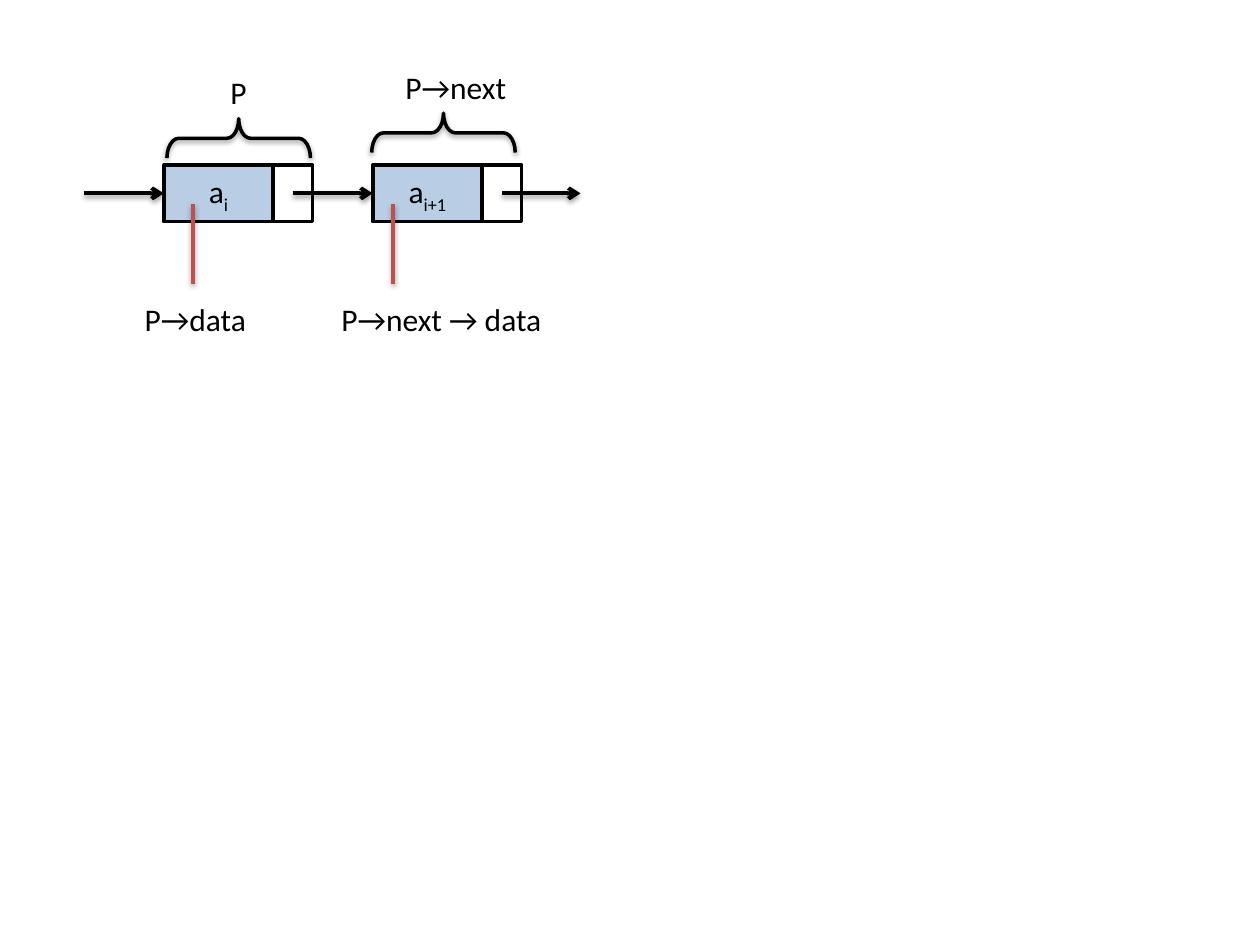
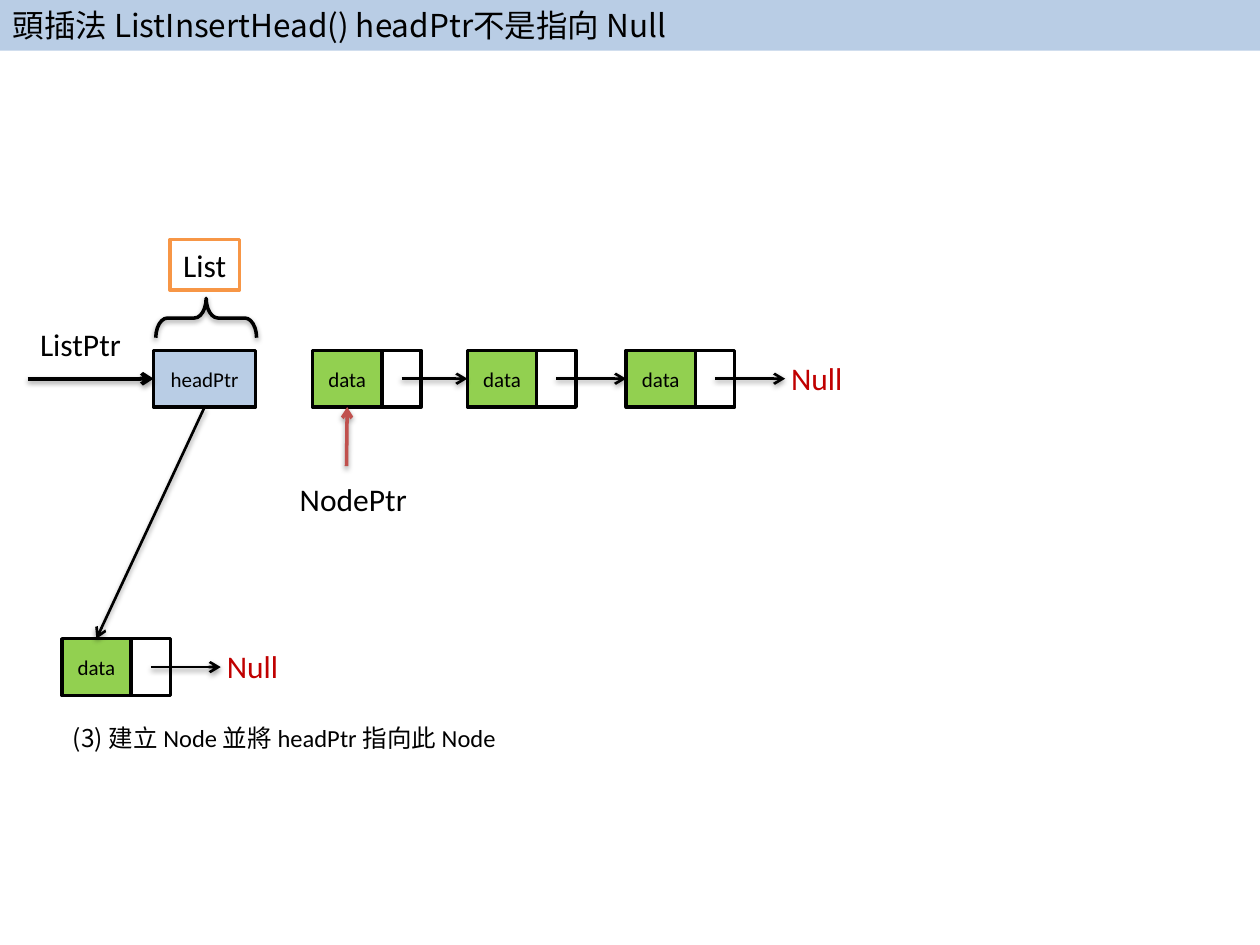
import dataclasses

import lxml.etree
import pptx
import pptx.dml.color
import pptx.enum.shapes
import pptx.enum.text
import pptx.oxml.ns
import pptx.util

Pt = pptx.util.Pt
qn = pptx.oxml.ns.qn
SHAPE = pptx.enum.shapes.MSO_SHAPE
ALIGN = pptx.enum.text.PP_ALIGN
ANCHOR = pptx.enum.text.MSO_ANCHOR


@dataclasses.dataclass(frozen=True)
class Theme:
    black: str = "000000"
    white: str = "FFFFFF"
    blue: str = "B9CDE5"
    green: str = "92D050"
    red: str = "C0504D"
    null_red: str = "C00000"
    orange: str = "F79646"
    latin: str = "Calibri"
    cjk: str = "Noto Sans CJK SC"
    label: int = 18
    caption: int = 14
    small: int = 12
    outline: float = 2
    pointer: float = 2.25
    link: float = 1.5


THEME = Theme()
CELL_HEIGHT = 32.4
NEXT_WIDTH = 22.5
BRACE_HEIGHT = 22.5
LABEL_HEIGHT = 29

MEMBER_NODES = [
    {"subscript": "i", "left": 93.6, "brace": (95.4, 94), "red_x": 110.2,
     "node": ("P", 124.5, 38.2, 24), "data": ("P→data", 75.6, 73.5)},
    {"subscript": "i+1", "left": 213, "brace": (212.4, 90.9), "red_x": 224.7,
     "node": ("P→next", 224.6, 35.3, 73.5), "data": ("P→next → data", 188, 144)},
]
MEMBER_TOP, MEMBER_WIDTH = 94.3, 62.5
MEMBER_BRACE_WIDTH, MEMBER_LABEL_TOP = 82, 167.8

INSERT_TITLE = "頭插法 ListInsertHead() headPtr不是指向 Null"
INSERT_CAPTION = [("(3) ", THEME.cjk), ("建立 Node 並將 headPtr 指向此 Node", THEME.latin)]
CHAIN_LEFTS = [178.6, 267.1, 357.8]
CHAIN_TOP, NEW_NODE_LEFT, NEW_NODE_TOP = 200.2, 35.3, 365
DATA_WIDTH, LINK_LENGTH = 39.6, 40


def rgb(colour):
    return pptx.dml.color.RGBColor.from_string(colour)


def format_run(run, size, colour=THEME.black, font=THEME.latin):
    run.font.size = Pt(size)
    run.font.name = font
    run.font.color.rgb = rgb(colour)
    east_asian = lxml.etree.SubElement(run._r.get_or_add_rPr(), qn("a:ea"))
    east_asian.set("typeface", THEME.cjk)


def add_shadow(shape):
    properties = shape._element.spPr
    effects = properties.find(qn("a:effectLst"))
    if effects is None:
        effects = lxml.etree.SubElement(properties, qn("a:effectLst"))
    shadow = lxml.etree.SubElement(
        effects, qn("a:outerShdw"), blurRad=str(Pt(3.1)), dist=str(Pt(1.6)),
        dir="5400000", rotWithShape="0")
    colour = lxml.etree.SubElement(shadow, qn("a:srgbClr"), val=THEME.black)
    lxml.etree.SubElement(colour, qn("a:alpha"), val="38000")


def add_box(slide, left, top, width, fill, text="", size=THEME.small, subscript="",
            height=CELL_HEIGHT, outline=THEME.black):
    box = slide.shapes.add_shape(SHAPE.RECTANGLE, Pt(left), Pt(top), Pt(width), Pt(height))
    box.shadow.inherit = False
    box.fill.solid()
    box.fill.fore_color.rgb = rgb(fill)
    box.line.color.rgb = rgb(outline)
    box.line.width = Pt(THEME.outline)
    frame = box.text_frame
    frame.vertical_anchor = ANCHOR.MIDDLE
    frame.word_wrap = False
    if text:
        frame.text = text
        paragraph = frame.paragraphs[0]
        paragraph.alignment = ALIGN.CENTER
        if subscript:
            index = paragraph.add_run()
            index.text = subscript
            index._r.get_or_add_rPr().set("baseline", "-25000")
        for run in paragraph.runs:
            format_run(run, size)
    return box


def add_node(slide, left, top, width, fill, text, size=THEME.small, subscript=""):
    data = add_box(slide, left, top, width, fill, text, size, subscript)
    add_box(slide, left + width, top, NEXT_WIDTH, THEME.white)
    next_centre = (left + width + NEXT_WIDTH / 2, top + CELL_HEIGHT / 2)
    return data, next_centre


def add_line(slide, start, end, width, colour=THEME.black, arrow=True,
             source=None, target=None):
    line = slide.shapes.add_connector(
        pptx.enum.shapes.MSO_CONNECTOR.STRAIGHT, *map(Pt, (*start, *end)))
    if source:
        line.begin_connect(*source)
    if target:
        line.end_connect(*target)
    line.line.color.rgb = rgb(colour)
    line.line.width = Pt(width)
    if arrow:
        lxml.etree.SubElement(line.line._get_or_add_ln(), qn("a:tailEnd"), type="arrow")
    add_shadow(line)


def add_brace(slide, left, top, span):
    brace = slide.shapes.add_shape(
        SHAPE.LEFT_BRACE, Pt(left + (span - BRACE_HEIGHT) / 2),
        Pt(top + (BRACE_HEIGHT - span) / 2), Pt(BRACE_HEIGHT), Pt(span))
    brace.rotation = 90
    brace.adjustments[0] = 0.3
    brace.fill.background()
    brace.line.color.rgb = rgb(THEME.black)
    brace.line.width = Pt(THEME.outline)
    brace.shadow.inherit = False
    add_shadow(brace)


def add_label(slide, text, left, top, width, colour=THEME.black):
    label = slide.shapes.add_textbox(Pt(left), Pt(top), Pt(width), Pt(LABEL_HEIGHT))
    label.text_frame.word_wrap = False
    label.text_frame.text = text
    format_run(label.text_frame.paragraphs[0].runs[0], THEME.label, colour)


def add_null(slide, start):
    end = (start[0] + LINK_LENGTH, start[1])
    add_line(slide, start, end, THEME.link)
    add_label(slide, "Null", end[0] - 3.6, end[1] - 15, 45, THEME.null_red)


def add_band_title(slide, text):
    title = slide.shapes.title
    title.left, title.top, title.width, title.height = map(Pt, (0, 0, 720, LABEL_HEIGHT))
    title.fill.solid()
    title.fill.fore_color.rgb = rgb(THEME.blue)
    frame = title.text_frame
    frame.text = text
    frame.auto_size = pptx.enum.text.MSO_AUTO_SIZE.NONE
    frame.vertical_anchor = ANCHOR.TOP
    frame.paragraphs[0].alignment = ALIGN.LEFT
    format_run(frame.paragraphs[0].runs[0], THEME.label, font=THEME.cjk)


def build_members(slide):
    middle = MEMBER_TOP + CELL_HEIGHT / 2
    link_start = (48.2, middle)
    for member in MEMBER_NODES:
        left = member["left"]
        data, next_centre = add_node(slide, left, MEMBER_TOP, MEMBER_WIDTH, THEME.blue,
                                     "a", THEME.label, member["subscript"])
        add_line(slide, link_start, (left, middle), THEME.pointer, target=(data, 1))
        link_start = next_centre
        add_brace(slide, *member["brace"][:1], member["brace"][1] - BRACE_HEIGHT - 3.7,
                  MEMBER_BRACE_WIDTH)
        add_label(slide, *member["node"])
        red_x = member["red_x"]
        add_line(slide, (red_x, 116.6), (red_x, 162), THEME.outline, THEME.red, arrow=False)
        text, label_left, width = member["data"]
        add_label(slide, text, label_left, MEMBER_LABEL_TOP, width)
    add_line(slide, link_start, (link_start[0] + 45, middle), THEME.pointer)


def build_insert_head(slide):
    add_band_title(slide, INSERT_TITLE)

    head = add_box(slide, 87.8, CHAIN_TOP, 58.3, THEME.blue, "headPtr")
    middle = CHAIN_TOP + CELL_HEIGHT / 2
    add_line(slide, (15.8, middle), (87.8, middle), THEME.pointer, target=(head, 1))
    add_label(slide, "ListPtr", 15.8, 182.2, 62)
    add_brace(slide, 89, 170.5, 57.6)
    add_box(slide, 97.2, 136.8, 39.6, THEME.white, "List", THEME.label,
            height=LABEL_HEIGHT, outline=THEME.orange)

    chain = [add_node(slide, left, CHAIN_TOP, DATA_WIDTH, THEME.green, "data")
             for left in CHAIN_LEFTS]
    for (_, start), (following, _) in zip(chain, chain[1:]):
        add_line(slide, start, start, THEME.link, target=(following, 1))
    add_null(slide, chain[-1][1])
    add_line(slide, (198, 266.4), (198, 232), THEME.outline, THEME.red,
             target=(chain[0][0], 2))
    add_label(slide, "NodePtr", 164.2, 270.7, 77)

    new_node, next_centre = add_node(slide, NEW_NODE_LEFT, NEW_NODE_TOP, DATA_WIDTH,
                                     THEME.green, "data")
    add_line(slide, (117, 232), (55, 365), THEME.link, source=(head, 2), target=(new_node, 0))
    add_null(slide, next_centre)

    caption = slide.shapes.add_textbox(Pt(34.6), Pt(409.7), Pt(266.4), Pt(24.5)).text_frame
    caption.word_wrap = True
    for text, font in INSERT_CAPTION:
        run = caption.paragraphs[0].add_run()
        run.text = text
        format_run(run, THEME.caption, font=font)


def main():
    deck = pptx.Presentation()
    deck.slide_width, deck.slide_height = Pt(720), Pt(540)
    title_only, blank = deck.slide_layouts[5], deck.slide_layouts[6]
    build_members(deck.slides.add_slide(blank))
    build_insert_head(deck.slides.add_slide(title_only))
    deck.save("out.pptx")


if __name__ == "__main__":
    main()
